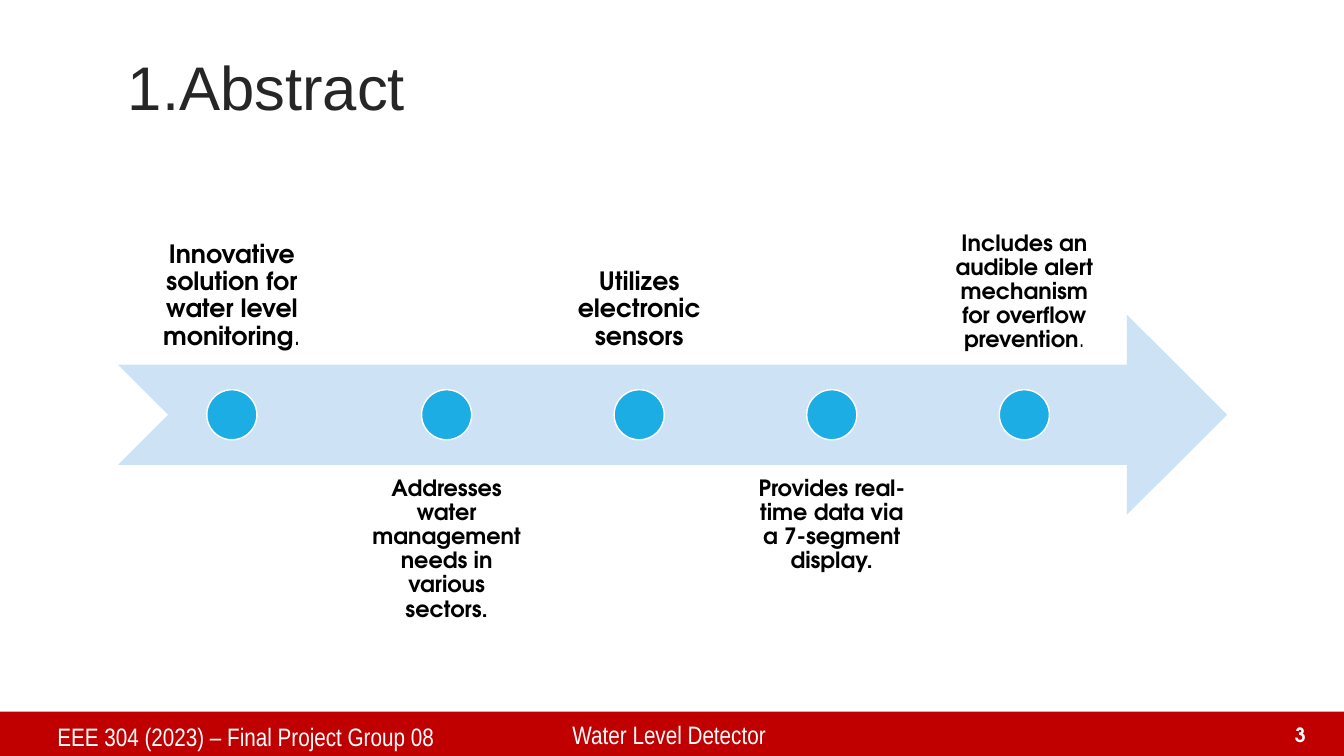
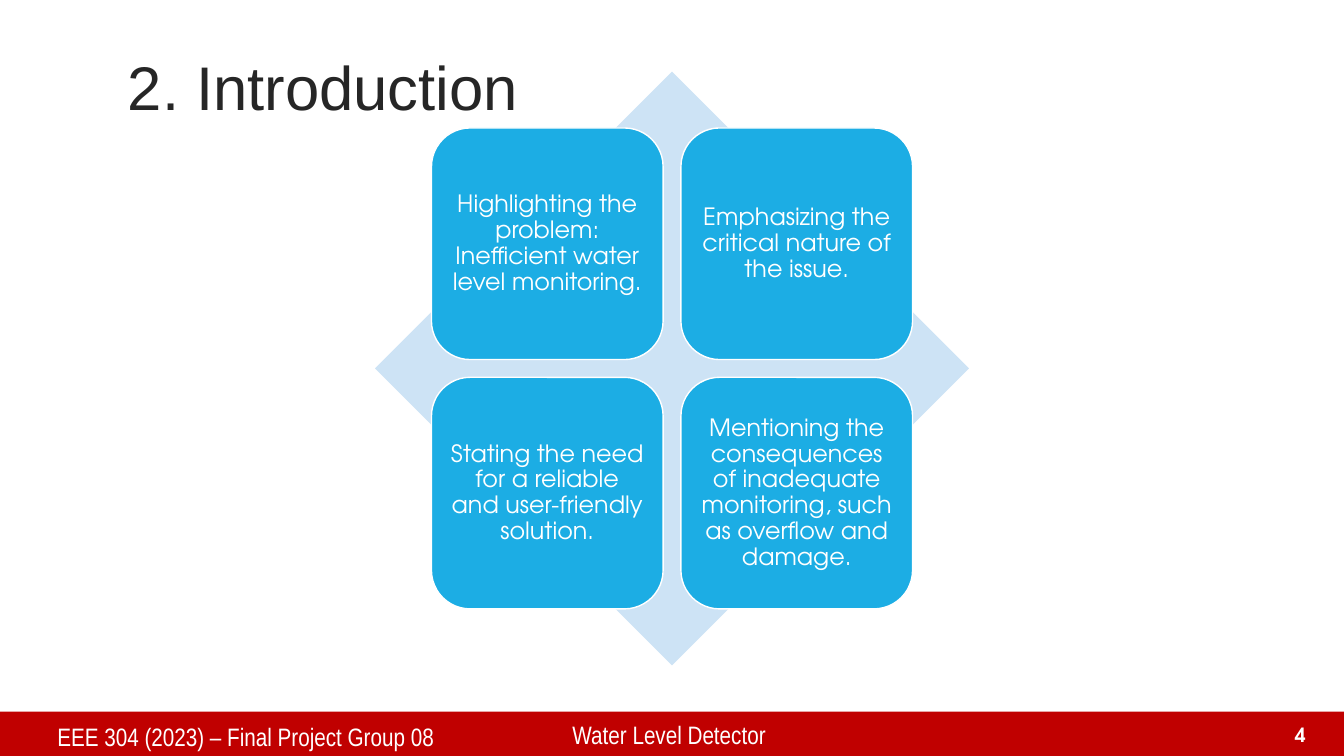
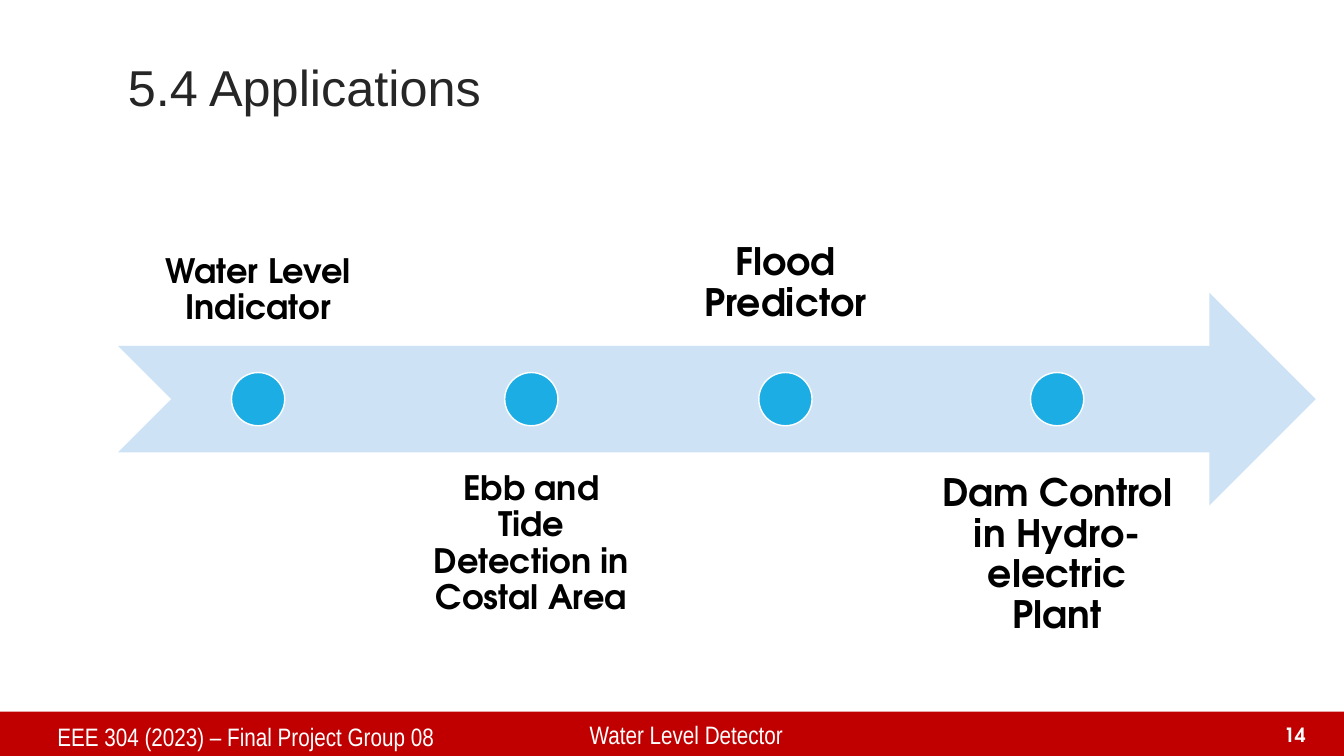
from collections import namedtuple

from pptx import Presentation
from pptx.dml.color import RGBColor
from pptx.enum.shapes import MSO_SHAPE as Preset
from pptx.enum.text import MSO_ANCHOR as Anchor, PP_ALIGN as Align
from pptx.util import Inches, Pt

RED = RGBColor(0xC0, 0x00, 0x00)
PALE_BLUE = RGBColor(0xCD, 0xE3, 0xF5)
BLUE = RGBColor(0x1C, 0xAD, 0xE4)
WHITE = RGBColor(0xFF, 0xFF, 0xFF)
BLACK = RGBColor(0x00, 0x00, 0x00)
DARK_GREY = RGBColor(0x26, 0x26, 0x26)

TITLE_FONT = "Arial"
FOOTER_FONT = "Arial Narrow"
BODY_FONT = "TeX Gyre Adventor"

SLIDE_WIDTH, SLIDE_HEIGHT = 13.33, 7.5
COURSE = "EEE 304 (2023) – Final Project Group 08"
PROJECT = "Water Level Detector"

Box = namedtuple("Box", "left top width height")
Milestone = namedtuple("Milestone", "text width size inset ending", defaults=[""])


def lengths(box):
    return [Inches(value) for value in box]


def add_preset(slide, preset, box, fill, outline=None):
    shape = slide.shapes.add_shape(preset, *lengths(box))
    shape.shadow.inherit = False
    shape.fill.solid()
    shape.fill.fore_color.rgb = fill
    if outline is None:
        shape.line.fill.background()
    else:
        shape.line.color.rgb = outline
        shape.line.width = Pt(1)
    return shape


def write(shape, runs, font, size, color, align=Align.LEFT, anchor=Anchor.TOP,
          inset=None, spacing=1.0):
    frame = shape.text_frame
    frame.word_wrap = True
    frame.vertical_anchor = anchor
    if inset is not None:
        frame.margin_left = frame.margin_right = Inches(inset)
        frame.margin_top = frame.margin_bottom = Inches(inset)
    paragraph = frame.paragraphs[0]
    paragraph.alignment = align
    paragraph.line_spacing = spacing
    for text, bold in runs:
        run = paragraph.add_run()
        run.text = text
        run.font.name = font
        run.font.size = Pt(size)
        run.font.bold = bold
        run.font.color.rgb = color


def add_text(slide, box, runs, *style, **options):
    write(slide.shapes.add_textbox(*lengths(box)), runs, *style, **options)


def add_footer(slide, number, project_left):
    add_preset(slide, Preset.RECTANGLE, Box(0, 7.06, SLIDE_WIDTH, 0.45), RED)
    number_left = 12.48
    add_text(slide, Box(0.47, 7.11, project_left - 0.47, 0.39),
             [(COURSE, False)], FOOTER_FONT, 18, WHITE)
    add_text(slide, Box(project_left, 7.09, number_left - project_left, 0.41),
             [(PROJECT, False)], FOOTER_FONT, 18, WHITE)
    add_text(slide, Box(number_left, 7.11, 0.57, 0.34), [(str(number), True)],
             BODY_FONT, 14, WHITE, align=Align.RIGHT, anchor=Anchor.BOTTOM)


def add_titled_slide(presentation, title, number, title_size=44, project_left=5.58):
    slide = presentation.slides.add_slide(presentation.slide_layouts[6])
    add_footer(slide, number, project_left)
    add_text(slide, Box(1.17, 0.5, 11, 0.8), [(title, False)], TITLE_FONT,
             title_size, DARK_GREY, anchor=Anchor.MIDDLE, spacing=0.9)
    return slide


def add_timeline(slide, box, milestones, gap):
    band = box.height * 0.4
    dot = box.height * 0.1
    middle = box.top + box.height / 2
    add_preset(slide, Preset.NOTCHED_RIGHT_ARROW,
               Box(box.left, middle - band / 2, box.width, band), PALE_BLUE)
    left = box.left
    for index, milestone in enumerate(milestones):
        above = index % 2 == 0
        top = box.top if above else box.top + box.height - band
        runs = [(milestone.text, True)]
        if milestone.ending:
            runs.append((milestone.ending, False))
        add_text(slide, Box(left, top, milestone.width, band), runs,
                 BODY_FONT, milestone.size, BLACK, align=Align.CENTER,
                 anchor=Anchor.BOTTOM if above else Anchor.TOP,
                 inset=milestone.inset, spacing=0.9)
        center = left + milestone.width / 2
        add_preset(slide, Preset.OVAL,
                   Box(center - dot / 2, middle - dot / 2, dot, dot), BLUE, WHITE)
        left += milestone.width + gap


def add_diamond_matrix(slide, box, statements):
    add_preset(slide, Preset.DIAMOND, box, PALE_BLUE)
    tile = box.width * 0.39
    margin = box.width * 0.095
    pitch = box.width * 0.42
    for index, statement in enumerate(statements):
        row, column = divmod(index, 2)
        shape = add_preset(slide, Preset.ROUNDED_RECTANGLE,
                           Box(box.left + margin + column * pitch,
                               box.top + margin + row * pitch, tile, tile),
                           BLUE, WHITE)
        write(shape, [(statement, False)], BODY_FONT, 17, WHITE,
              align=Align.CENTER, anchor=Anchor.MIDDLE, inset=0.07, spacing=0.9)


def main():
    presentation = Presentation()
    presentation.slide_width = Inches(SLIDE_WIDTH)
    presentation.slide_height = Inches(SLIDE_HEIGHT)

    abstract = add_titled_slide(presentation, "1.Abstract", 3)
    add_timeline(abstract, Box(1.17, 1.63, 11, 4.97), [
        Milestone("Innovative solution for water level monitoring", 2.26, 18, 0.14, "."),
        Milestone("Addresses water management needs in various sectors.", 1.82, 16, 0.12),
        Milestone("Utilizes electronic sensors", 1.82, 18, 0.14),
        Milestone("Provides real-time data via a 7-segment display.", 1.82, 16, 0.12),
        Milestone("Includes an audible alert mechanism for overflow prevention",
                  1.82, 16, 0.12, "."),
    ], gap=0.09)

    introduction = add_titled_slide(presentation, "2. Introduction", 4)
    add_diamond_matrix(introduction, Box(3.72, 0.71, 5.89, 5.89), [
        "Highlighting the problem: Inefficient water level monitoring.",
        "Emphasizing the critical nature of the issue.",
        "Stating the need for a reliable and user-friendly solution.",
        "Mentioning the consequences of inadequate monitoring, such as overflow and damage.",
    ])

    applications = add_titled_slide(presentation, "5.4 Applications", 14,
                                    title_size=36, project_left=5.75)
    add_timeline(applications, Box(1.17, 1.32, 11.88, 5.28), [
        Milestone("Water Level Indicator", 2.78, 24, 0.19),
        Milestone("Ebb and Tide Detection in Costal Area", 2.4, 24, 0.19),
        Milestone("Flood Predictor", 2.4, 27, 0.21),
        Milestone("Dam Control in Hydro-electric Plant", 2.75, 27, 0.21),
    ], gap=0.12)

    presentation.save("out.pptx")


if __name__ == "__main__":
    main()
